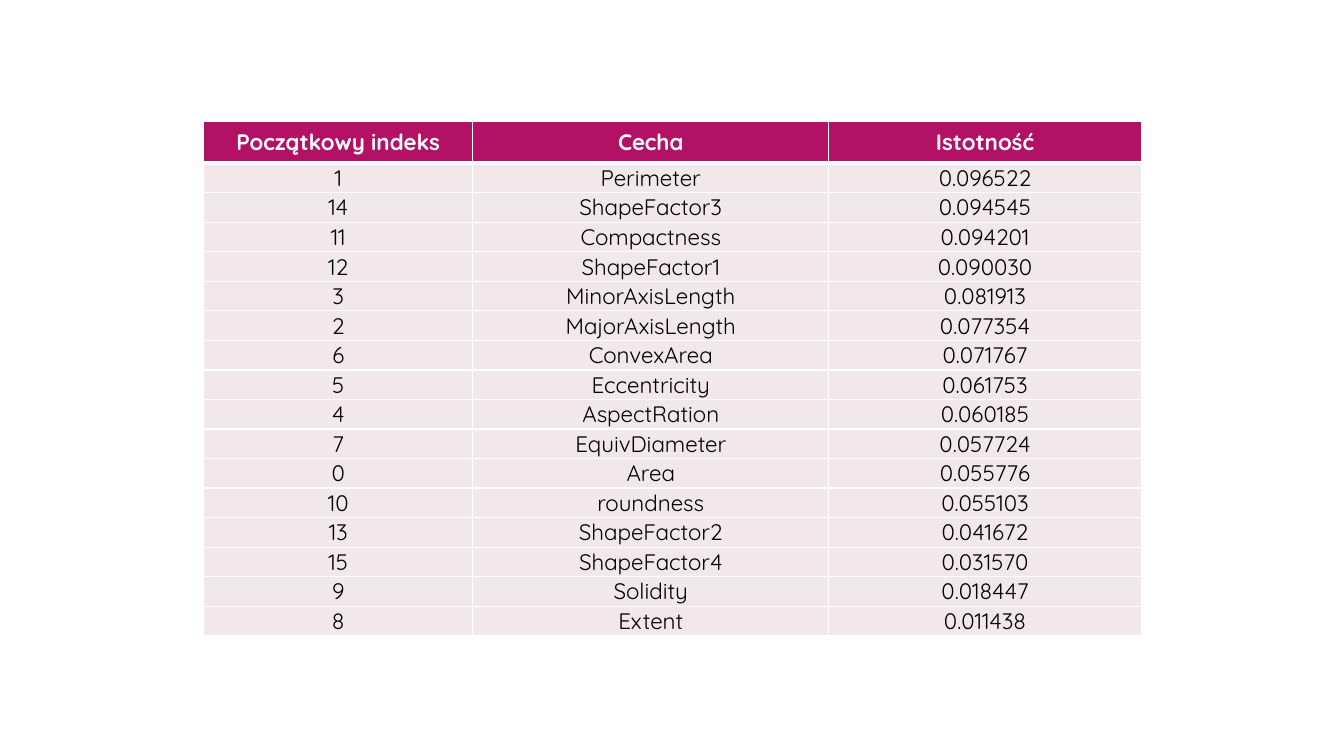
from dataclasses import dataclass

from lxml import etree
from pptx import Presentation
from pptx.dml.color import RGBColor
from pptx.enum.text import MSO_ANCHOR, PP_ALIGN
from pptx.oxml.ns import qn
from pptx.table import _Cell
from pptx.util import Inches, Pt

CENTER = PP_ALIGN.CENTER
MIDDLE = MSO_ANCHOR.MIDDLE

FONT = "Quicksand"
COLORS = {
    "header": "B31166",
    "body": "F2E7EA",
    "white": "FFFFFF",
    "black": "000000",
}

# Table geometry in inches
LEFT, TOP, HEIGHT = 2.02, 1.2, 5.11
COL_WIDTHS = (2.67, 3.53, 3.1)
HEADER_HEIGHT = 0.42


@dataclass(frozen=True)
class CellStyle:
    fill: str
    color: str
    bold: bool


@dataclass(frozen=True)
class Feature:
    index: int
    name: str
    importance: str


HEADER_STYLE = CellStyle("header", "white", True)
BODY_STYLE = CellStyle("body", "black", False)

HEADINGS = ("Początkowy indeks", "Cecha", "Istotność")
FEATURES = (
    Feature(1, "Perimeter", "0.096522"),
    Feature(14, "ShapeFactor3", "0.094545"),
    Feature(11, "Compactness", "0.094201"),
    Feature(12, "ShapeFactor1", "0.090030"),
    Feature(3, "MinorAxisLength", "0.081913"),
    Feature(2, "MajorAxisLength", "0.077354"),
    Feature(6, "ConvexArea", "0.071767"),
    Feature(5, "Eccentricity", "0.061753"),
    Feature(4, "AspectRation", "0.060185"),
    Feature(7, "EquivDiameter", "0.057724"),
    Feature(0, "Area", "0.055776"),
    Feature(10, "roundness", "0.055103"),
    Feature(13, "ShapeFactor2", "0.041672"),
    Feature(15, "ShapeFactor4", "0.031570"),
    Feature(9, "Solidity", "0.018447"),
    Feature(8, "Extent", "0.011438"),
)


def set_borders(cell: _Cell, top: float, bottom: float) -> None:
    """Draw white cell borders; side borders are 1 pt wide."""
    tc_pr = cell._tc.get_or_add_tcPr()
    for tag, width in (("lnL", 1), ("lnR", 1), ("lnT", top), ("lnB", bottom)):
        ln = etree.SubElement(tc_pr, qn(f"a:{tag}"), w=str(Pt(width)))
        fill = etree.SubElement(ln, qn("a:solidFill"))
        etree.SubElement(fill, qn("a:srgbClr"), val=COLORS["white"])


def fill_cell(cell: _Cell, text: str, style: CellStyle) -> None:
    """Write centred text on a solid background."""
    cell.fill.solid()
    cell.fill.fore_color.rgb = RGBColor.from_string(COLORS[style.fill])
    cell.margin_left = cell.margin_right = 0
    cell.margin_top = cell.margin_bottom = 0
    cell.vertical_anchor = MIDDLE
    p = cell.text_frame.paragraphs[0]
    p.text = text
    p.alignment = CENTER
    font = p.runs[0].font
    font.name = FONT
    font.size = Pt(16)
    font.bold = style.bold
    font.color.rgb = RGBColor.from_string(COLORS[style.color])


def main() -> None:
    prs = Presentation()
    prs.slide_width, prs.slide_height = Inches(13.33), Inches(7.5)
    s = prs.slides.add_slide(prs.slide_layouts[6])

    # Feature importance table
    rows = [HEADINGS] + [(str(f.index), f.name, f.importance) for f in FEATURES]
    table = s.shapes.add_table(
        len(rows), len(HEADINGS), Inches(LEFT), Inches(TOP),
        Inches(sum(COL_WIDTHS)), Inches(HEIGHT),
    ).table
    table.horz_banding = False
    for column, width in zip(table.columns, COL_WIDTHS):
        column.width = Inches(width)

    # Header row, then equal body rows
    body_height = (HEIGHT - HEADER_HEIGHT) / len(FEATURES)
    for i, values in enumerate(rows):
        style = BODY_STYLE if i else HEADER_STYLE
        table.rows[i].height = Inches(body_height if i else HEADER_HEIGHT)
        for j, text in enumerate(values):
            cell = table.cell(i, j)
            set_borders(cell, top=3 if i == 1 else 1, bottom=1 if i else 3)
            fill_cell(cell, text, style)

    prs.save("out.pptx")


if __name__ == "__main__":
    main()
